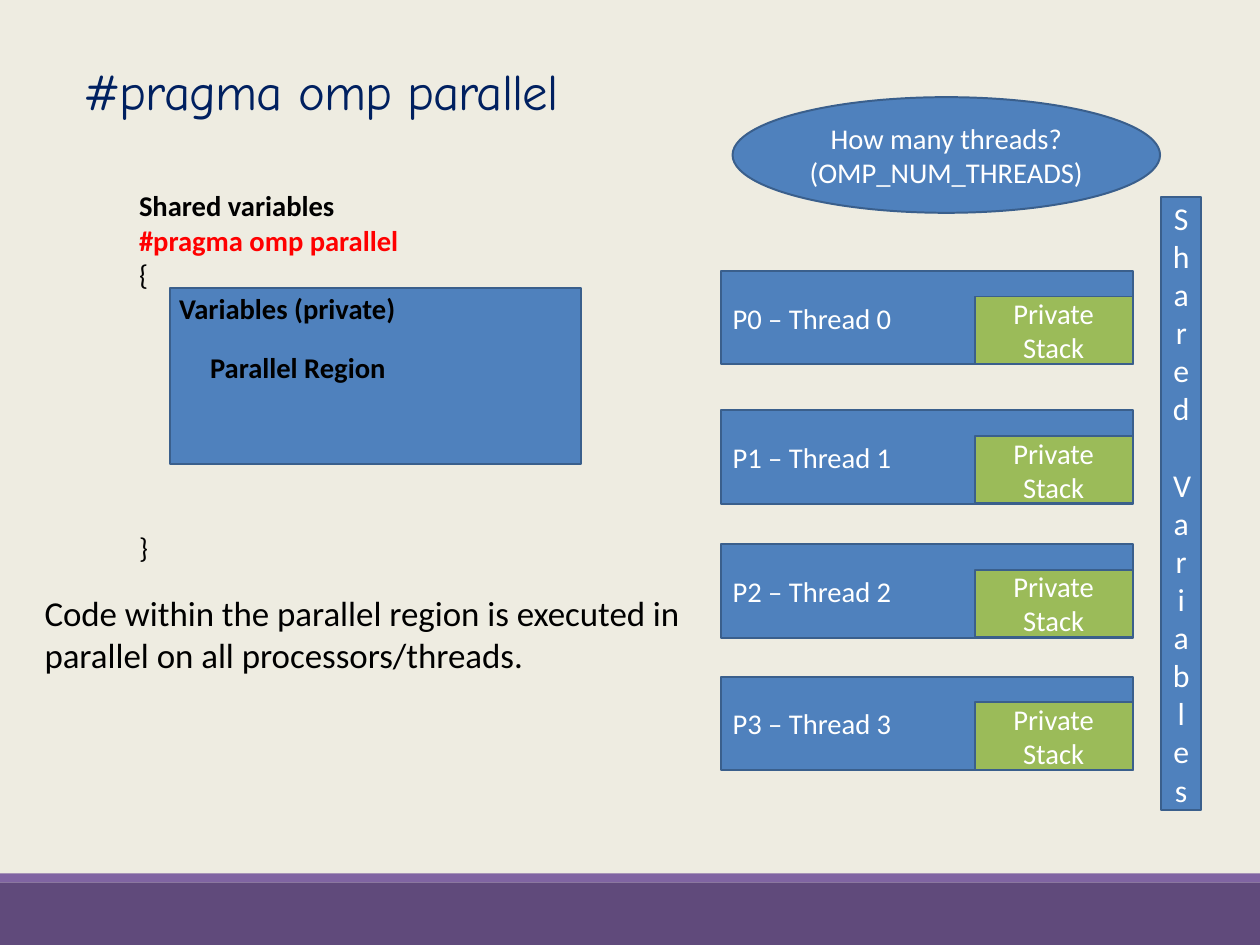
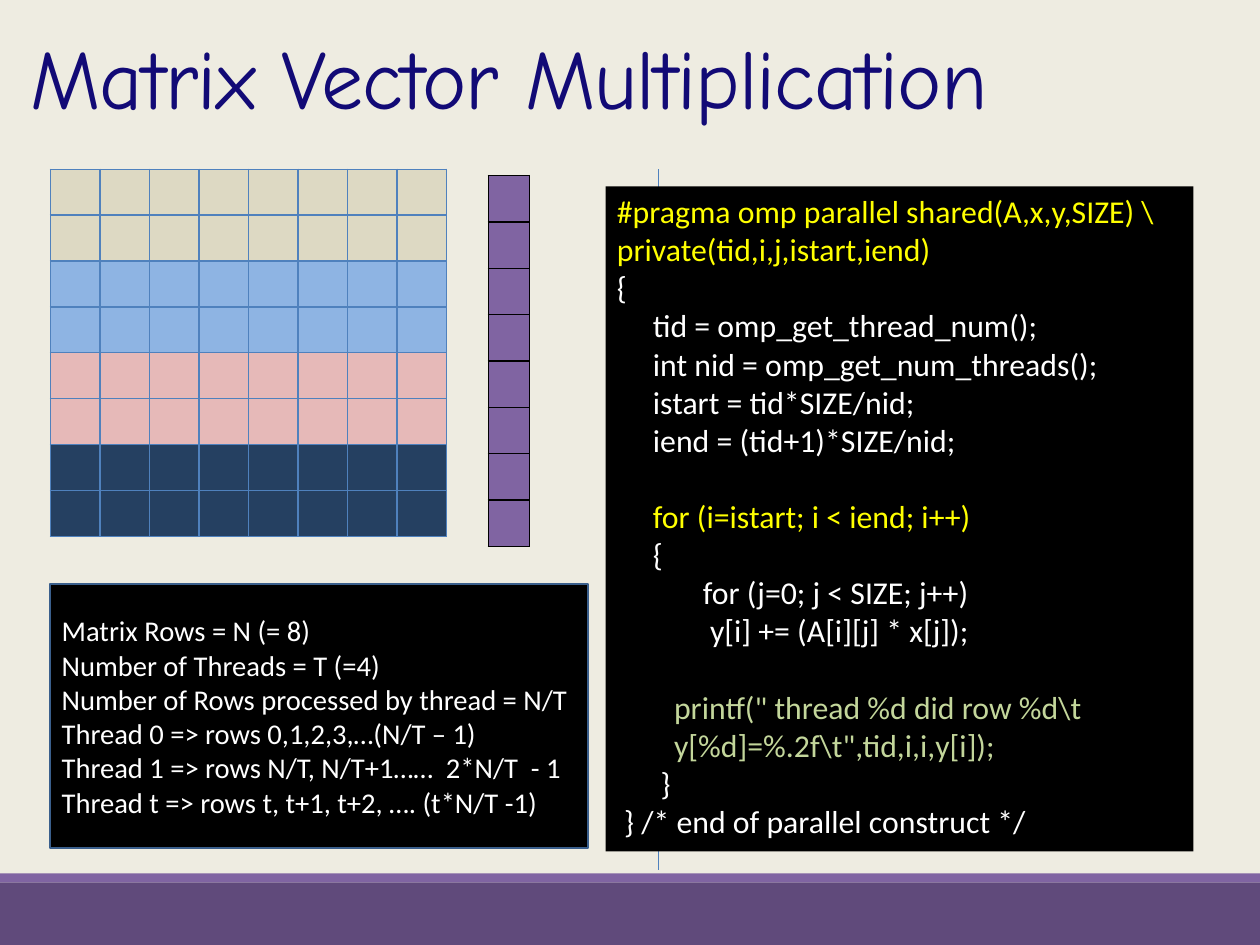
from dataclasses import dataclass

from lxml import etree
from pptx import Presentation
from pptx.dml.color import RGBColor
from pptx.enum.shapes import MSO_CONNECTOR, MSO_SHAPE
from pptx.enum.text import MSO_ANCHOR, PP_ALIGN
from pptx.oxml.ns import qn
from pptx.util import Cm, Pt

RECT, OVAL = MSO_SHAPE.RECTANGLE, MSO_SHAPE.OVAL
LINE = MSO_CONNECTOR.STRAIGHT
TOP, MIDDLE = MSO_ANCHOR.TOP, MSO_ANCHOR.MIDDLE
LEFT, CENTER = PP_ALIGN.LEFT, PP_ALIGN.CENTER


@dataclass(frozen=True)
class Theme:
    paper: str = "EEECE1"
    band: str = "604A7B"
    violet: str = "8064A2"
    navy: str = "002060"
    indigo: str = "120A76"
    blue: str = "4F81BD"
    edge: str = "3A5F8C"
    green: str = "9BBB59"
    lime: str = "C3D69B"
    yellow: str = "FFFF00"
    red: str = "FF0000"
    white: str = "FFFFFF"
    black: str = "000000"
    rows: tuple = ("DDD9C3", "8EB4E3", "E6B9B8", "254061")
    body: str = "Calibri"
    head: str = "Comic Neue"
    small: float = 18
    code: float = 20
    large: float = 22
    title: float = 32
    hero: float = 52.9
    edge_width: float = 1.25


T = Theme()


def rgb(code):
    return RGBColor.from_string(code)


def apply(item, values):
    for name, value in values.items():
        setattr(item, name, value)


class Deck:
    def __init__(self):
        self.prs = Presentation()
        apply(self.prs, {"slide_width": Cm(28), "slide_height": Cm(21)})
        fill = self.prs.slide_master.background.fill
        fill.solid()
        fill.fore_color.rgb = rgb(T.paper)
        self.slide = None

    def start(self):
        """Add a blank slide with the footer bands."""
        self.slide = self.prs.slides.add_slide(self.prs.slide_layouts[6])
        self.box((0, 19.61, 28, 1.39), T.band, edge=None)
        self.box((0, 19.41, 28, 0.2), T.violet, edge=None)

    def put(self, frame, paras, size, color, anchor=TOP, align=LEFT,
            font=T.body, bold=False, **extra):
        """Fill a frame with strings or (string, changes) pairs."""
        apply(frame, {"word_wrap": True, "vertical_anchor": anchor})
        for i, item in enumerate(paras):
            text, own = (item, {}) if isinstance(item, str) else item
            look = {"color": color, "bold": bold, "left": 0, "before": 0,
                    "spacing": None, "track": 0, **extra, **own}
            para = frame.add_paragraph() if i else frame.paragraphs[0]
            apply(para, {"alignment": align, "space_before": Pt(look["before"]),
                         "line_spacing": look["spacing"]})
            para._p.get_or_add_pPr().set("marL", str(Cm(look["left"])))
            run = para.add_run()
            run.text = text
            apply(run.font, {"name": font, "size": Pt(size), "bold": look["bold"]})
            run.font.color.rgb = rgb(look["color"])
            if look["track"]:
                run._r.get_or_add_rPr().set("spc", str(look["track"]))

    def text(self, area, paras, size=T.small, color=T.black, **look):
        box = self.slide.shapes.add_textbox(*map(Cm, area))
        self.put(box.text_frame, paras, size, color, **look)

    def title(self, area, text, size, color):
        self.text(area, [text], size, color, font=T.head, spacing=0.85, track=-60)

    def box(self, area, fill, paras=(), size=T.small, kind=RECT, edge=T.edge,
            anchor=MIDDLE, **look):
        shape = self.slide.shapes.add_shape(kind, *map(Cm, area))
        shape.shadow.inherit = False
        shape.fill.solid()
        shape.fill.fore_color.rgb = rgb(fill)
        if edge:
            shape.line.color.rgb = rgb(edge)
            shape.line.width = Pt(T.edge_width)
        else:
            shape.line.fill.background()
        self.put(shape.text_frame, paras, size, T.white, anchor=anchor, **look)

    def rule(self, start, end, color):
        line = self.slide.shapes.add_connector(LINE, *map(Cm, start + end))
        line.line.color.rgb = rgb(color)
        line.line.width = Pt(1)
        etree.SubElement(line._element.spPr, qn("a:effectLst"))

    def grid(self, spot, cols, cell, fills, color):
        """Draw a table of empty cells, one fill per row."""
        wide, high = cell
        size = (cols * wide, len(fills) * high)
        table = self.slide.shapes.add_table(
            len(fills), cols, *map(Cm, spot + size)).table
        apply(table, {"first_row": False, "horz_banding": False})
        for col in table.columns:
            col.width = Cm(wide)
        for row, fill in zip(table.rows, fills):
            row.height = Cm(high)
            for item in row.cells:
                apply(item, {"margin_top": 0, "margin_bottom": 0})
                item.fill.solid()
                item.fill.fore_color.rgb = rgb(fill)
                self.border(item, color)

    def border(self, cell, color):
        props = cell._tc.get_or_add_tcPr()
        for i, side in enumerate("LRTB"):
            line = etree.Element(qn(f"a:ln{side}"), w=str(Pt(1)))
            solid = etree.SubElement(line, qn("a:solidFill"))
            etree.SubElement(solid, qn("a:srgbClr"), val=color)
            props.insert(i, line)


def threads(deck):
    deck.start()
    deck.title((1.6, 1.4, 22.86, 1.42), "#pragma omp parallel", T.title, T.navy)
    deck.box((3.78, 6.4, 9.14, 3.91), T.blue)
    deck.text((4.42, 7.65, 7.14, 1.02), ["Parallel Region"], bold=True)
    deck.box((16.28, 2.16, 9.5, 2.57), T.blue,
             ["How many threads? (OMP_NUM_THREADS)"], kind=OVAL, align=CENTER)
    for i, top in enumerate((6.02, 9.12, 12.09, 15.04)):
        deck.box((16.03, top, 9.14, 2.08), T.blue, [f"P{i} – Thread {i}"])
        deck.box((21.66, top + 0.57, 3.51, 1.5), T.green, ["Private Stack"],
                 align=CENTER)
    deck.box((25.8, 4.37, 0.9, 13.64), T.blue,
             ["Shared", ("Variables", {"before": 24})], T.code, align=CENTER)
    deck.text((0.74, 13.03, 15.01, 2.13),
              ["Code within the parallel region is executed in parallel "
               "on all processors/threads."], T.large)
    deck.text((2.84, 4.06, 11.18, 8.71), [
        ("Shared variables", {"bold": True}),
        ("#pragma omp parallel", {"bold": True, "color": T.red}),
        "{",
        ("Variables (private)", {"bold": True, "left": 0.89}),
        ("}", {"before": 129}),
    ])


def matrix(deck):
    deck.start()
    deck.rule((14.63, 3.76), (14.63, 19.33), T.blue)
    deck.box((1.12, 12.98, 11.94, 5.87), T.black, [
        "Matrix Rows = N (= 8)",
        "Number of Threads = T (=4)",
        "Number of Rows processed by thread = N/T",
        "Thread 0 => rows 0,1,2,3,…(N/T – 1)",
        "Thread 1 => rows N/T, N/T+1……  2*N/T  - 1",
        "Thread t => rows t, t+1, t+2, …. (t*N/T -1)",
    ])
    step = {"left": 0.8}
    deck.box((13.46, 4.14, 13.06, 14.78), T.black, [
        ("#pragma omp parallel shared(A,x,y,SIZE) \\ "
         "private(tid,i,j,istart,iend)", {"color": T.yellow}),
        "{",
        ("tid = omp_get_thread_num();", step),
        ("int nid = omp_get_num_threads();", step),
        ("istart = tid*SIZE/nid;", step),
        ("iend = (tid+1)*SIZE/nid;", step),
        ("for (i=istart; i < iend; i++)",
         {**step, "color": T.yellow, "before": 24}),
        ("{", step),
        ("for (j=0; j < SIZE; j++)", {"left": 1.91}),
        ("y[i] += (A[i][j] * x[j]);", {"left": 2.07}),
        ('printf(" thread %d did row %d\\t y[%d]=%.2f\\t",tid,i,i,y[i]);',
         {"left": 1.27, "color": T.lime, "before": 24}),
        ("}", {"left": 0.97}),
        ("} /* end of parallel construct */", {"left": 0.16}),
    ], T.code, edge=None, anchor=TOP)
    deck.title((0.43, 0.79, 25.2, 2.97), "Matrix Vector Multiplication",
               T.hero, T.indigo)
    pairs = [fill for fill in T.rows for _ in range(2)]
    deck.grid((1.12, 3.76), 8, (1.1, 1.02), pairs, T.blue)
    deck.grid((10.85, 3.9), 1, (0.91, 1.03), [T.violet] * 8, T.black)


def main():
    deck = Deck()
    threads(deck)
    matrix(deck)
    deck.prs.save("out.pptx")


if __name__ == "__main__":
    main()
